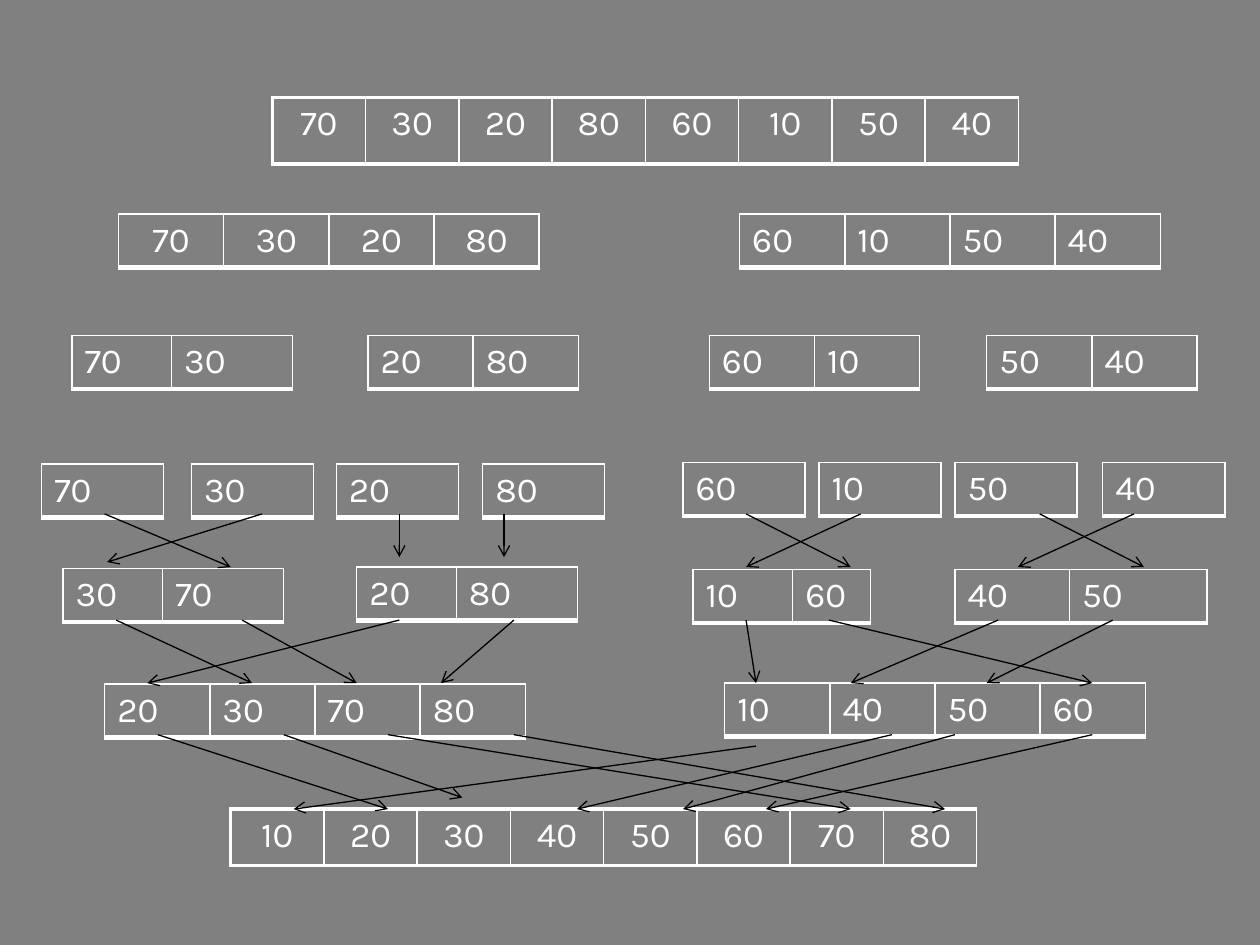
from dataclasses import dataclass
from typing import NamedTuple

from lxml.etree import SubElement as Sub
from pptx import Presentation
from pptx.dml.color import RGBColor as Rgb
from pptx.enum.shapes import MSO_CONNECTOR as Link
from pptx.enum.text import PP_ALIGN as Align
from pptx.oxml.ns import qn
from pptx.util import Cm, Pt

WHITE, BLACK, GREY = "FFFFFF", "000000", "808080"
FONT = "Karla"


@dataclass
class Row:
    left: float
    top: float
    nums: str
    widths: tuple
    high: float = 1.08
    mid: bool = False
    edges: tuple = (1, 1, 1, 3)  # left, right, top, bottom in points


class Arrow(NamedTuple):
    x1: float
    x2: float
    y1: float
    y2: float


def paint(fill, color: str) -> None:
    fill.solid()
    fill.fore_color.rgb = Rgb.from_string(color)


def write(frame, text: str, *, size=20, font=FONT, color=WHITE, align=Align.LEFT) -> None:
    para = frame.paragraphs[0]
    para.alignment = align
    run = para.add_run()
    run.text = text
    run.font.size, run.font.name = Pt(size), font
    paint(run.font.fill, color)


def border(cell, edges: tuple) -> None:
    props = cell._tc.get_or_add_tcPr()
    for side, wide in zip("LRTB", edges):
        line = Sub(props, qn(f"a:ln{side}"), w=str(Pt(wide)))
        Sub(Sub(line, qn("a:solidFill")), qn("a:srgbClr"), val=WHITE)


def draw_row(shapes, row: Row) -> None:
    nums = row.nums.split()
    wide = sum(row.widths)
    table = shapes.add_table(1, len(nums), Cm(row.left), Cm(row.top),
                             Cm(wide), Cm(row.high)).table
    table.first_row = table.horz_banding = False
    table.rows[0].height = Cm(row.high)
    for i, num in enumerate(nums):
        table.columns[i].width = Cm(row.widths[i])
        cell = table.cell(0, i)
        left, *rest = row.edges
        border(cell, (1 if i else left, *rest))
        cell.fill.background()
        write(cell.text_frame, num, align=Align.CENTER if row.mid else Align.LEFT)


def draw_arrow(shapes, arrow: Arrow) -> None:
    line = shapes.add_connector(Link.STRAIGHT, Cm(arrow.x1), Cm(arrow.y1),
                                Cm(arrow.x2), Cm(arrow.y2))
    line.line.width = Pt(0.75)
    paint(line.line.fill, BLACK)
    Sub(line.line._get_or_add_ln(), qn("a:tailEnd"), type="arrow")
    Sub(line._element.spPr, qn("a:effectLst"))


# Cell widths and the heavy frame of the full rows
FULL, FOUR, TWO, ONE = (1.88,) * 8, (2.12,) * 4, (2.12,) * 2, (2.46,)
PAIR = (2.01, 2.44)
HEAVY = (2.25, 1, 2.25, 2.25)

ROWS = [
    # Splitting
    Row(5.49, 1.96, "70 30 20 80 60 10 50 40", FULL, 1.35, True, HEAVY),
    Row(2.39, 4.31, "70 30 20 80", FOUR, mid=True),
    Row(14.91, 4.31, "60 10 50 40", FOUR),
    Row(1.45, 6.76, "70 30", PAIR),
    Row(7.42, 6.76, "20 80", TWO),
    Row(14.3, 6.76, "60 10", TWO),
    Row(19.89, 6.76, "50 40", TWO),
    # Single items
    *(Row(x, 9.35, num, ONE) for x, num in
      ((0.84, "70"), (3.86, "30"), (6.78, "20"), (9.73, "80"))),
    *(Row(x, 9.32, num, ONE) for x, num in
      ((13.77, "60"), (16.51, "10"), (19.25, "50"), (22.23, "40"))),
    # Merging
    Row(1.27, 11.46, "30 70", PAIR),
    Row(19.25, 11.48, "40 50", (2.31, 2.77)),
    Row(13.97, 11.48, "10 60", (2.01, 1.57)),
    Row(7.19, 11.43, "20 80", PAIR),
    Row(2.11, 13.79, "20 30 70 80", FOUR),
    Row(14.61, 13.77, "10 40 50 60", FOUR),
    Row(4.65, 16.31, "10 20 30 40 50 60 70 80", FULL, 1.14, True, HEAVY),
]

# Arrows between two levels: start height, end height, (from x, to x) pairs
STEPS = [
    (10.36, 11.43, ((2.11, 4.65), (15.04, 17.15), (17.35, 15.04),
                    (22.86, 20.52), (20.96, 23.06))),
    (10.36, 11.33, ((5.28, 2.16),)),
    (10.36, 11.23, ((8.05, 8.05), (10.16, 10.16))),
    (12.5, 13.77, ((8.05, 2.97), (2.34, 5.08), (4.88, 7.19), (10.36, 8.89),
                   (15.04, 15.24), (20.12, 17.15), (22.43, 19.89),
                   (16.71, 22.02))),
    (15.04, 16.31, ((15.24, 5.92),)),
    (14.81, 16.08, ((5.72, 9.32),)),
    (14.81, 16.31, ((3.18, 7.82), (17.98, 11.63), (19.25, 13.77),
                    (22.02, 15.44), (7.82, 17.15), (10.36, 19.05))),
]

deck = Presentation()
deck.slide_width, deck.slide_height = Cm(25.4), Cm(19.05)
slide = deck.slides.add_slide(deck.slide_layouts[6])
paint(slide.background.fill, GREY)

for row in ROWS:
    draw_row(slide.shapes, row)
for y1, y2, pairs in STEPS:
    for x1, x2 in pairs:
        draw_arrow(slide.shapes, Arrow(x1, x2, y1, y2))

deck.save("out.pptx")
